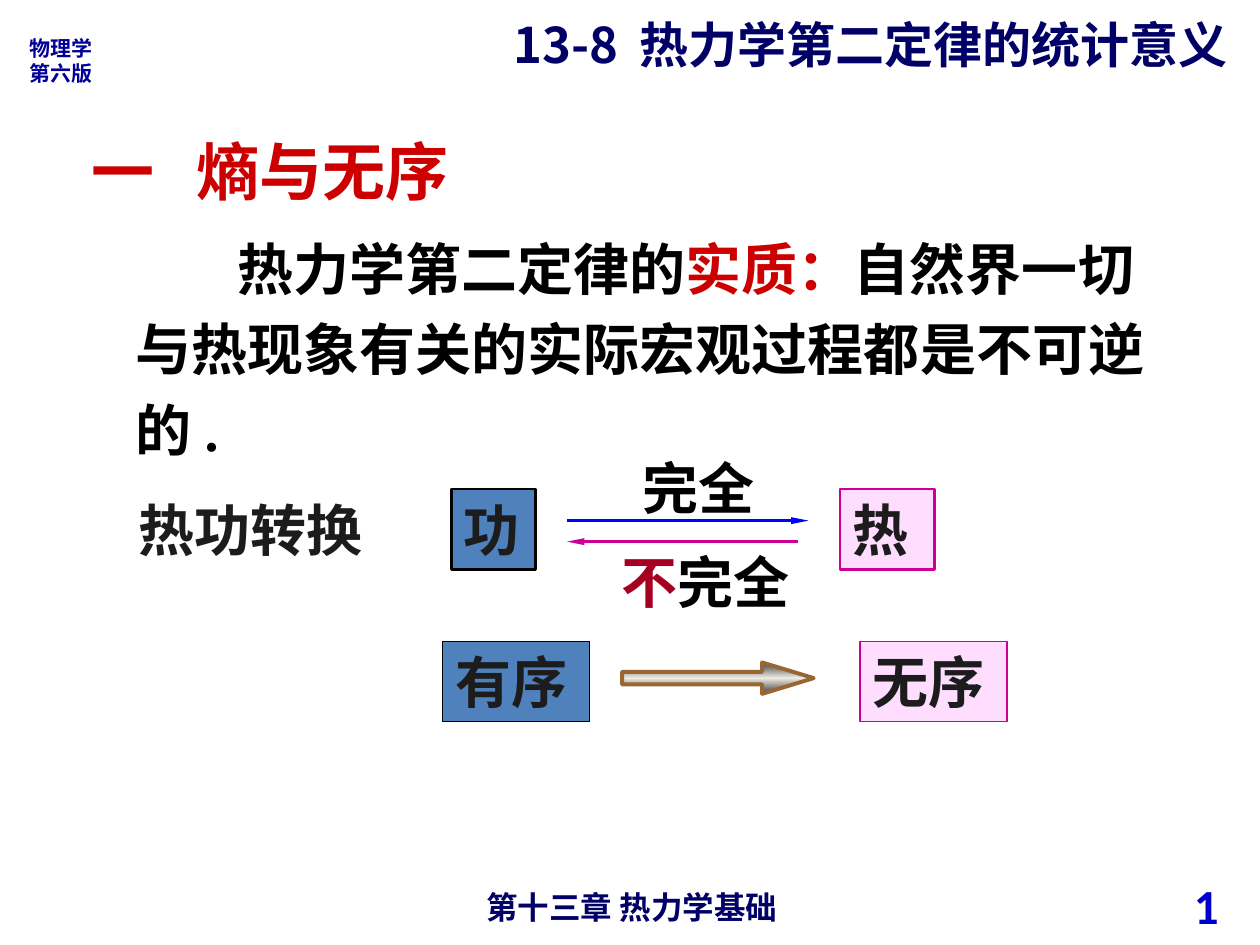
from dataclasses import dataclass
from copy import deepcopy
from lxml.etree import SubElement
from pptx import Presentation
from pptx.dml.color import RGBColor as Rgb
from pptx.enum.shapes import MSO_CONNECTOR as Link, MSO_SHAPE as Shape
from pptx.enum.text import MSO_ANCHOR as Anchor, PP_ALIGN as Align
from pptx.oxml.ns import qn
from pptx.util import Pt


@dataclass(frozen=True)
class Theme:
    cjk: str = "Noto Sans CJK SC"
    latin: str = "Arial"
    serif: str = "Times New Roman"
    number: str = "Calibri"
    navy: str = "000066"
    edition: str = "000099"
    page_number: str = "0000CC"
    red: str = "CC0000"
    crimson: str = "A50021"
    ink: str = "1C1C1C"
    black: str = "000000"
    blue: str = "0000FF"
    magenta: str = "CC0099"
    pink: str = "FFDDFF"
    steel: str = "4F81BD"
    bronze: str = "996633"
    metal: tuple = ("3B3B3B", "EEECE1", "3B3B3B")
    small: int = 12
    footer: int = 18
    title: int = 28
    body: int = 32
    heading: int = 36


class Builder:
    def __init__(self, page, theme):
        self.page, self.theme = page, theme

    def set_font(self, font, face, size, color):
        font.name, font.size, font.bold = face, Pt(size), True
        font.color.rgb = Rgb.from_string(color)
        SubElement(font._element, qn("a:ea"), typeface=self.theme.cjk)

    def fill_text(self, box, lines, size, color, face=None, align=Align.LEFT,
                  anchor=Anchor.TOP, tab=None):
        """Each line is a string or a list of (text, colour, face) spans."""
        face = face or self.theme.latin
        frame = box.text_frame
        frame.word_wrap, frame.vertical_anchor = True, anchor
        for index, line in enumerate(lines):
            para = frame.add_paragraph() if index else frame.paragraphs[0]
            para.alignment = align
            if tab:
                tabs = SubElement(para._p.get_or_add_pPr(), qn("a:tabLst"))
                SubElement(tabs, qn("a:tab"), pos=str(Pt(tab)), algn="l")
            if isinstance(line, str):
                para.add_run().text = line
                self.set_font(para.font, face, size, color)
                continue
            for text, span_color, span_face in line:
                span = para.add_run()
                span.text = text
                self.set_font(span.font, span_face, size, span_color)

    def text(self, place, lines, size, color, **style):
        box = self.page.shapes.add_textbox(*map(Pt, place))
        self.fill_text(box, lines, size, color, **style)
        return box

    def shape(self, kind, place, line, weight):
        box = self.page.shapes.add_shape(kind, *map(Pt, place))
        box.shadow.inherit = False
        box.line.color.rgb = Rgb.from_string(line)
        box.line.width = Pt(weight)
        return box

    def label(self, place, text, fill, line, weight):
        box = self.shape(Shape.RECTANGLE, place, line, weight)
        box.fill.solid()
        box.fill.fore_color.rgb = Rgb.from_string(fill)
        self.fill_text(box, [text], self.theme.body, self.theme.ink)

    def block_arrow(self, place, line, weight):
        arrow = self.shape(Shape.RIGHT_ARROW, place, line, weight)
        arrow.adjustments[0], arrow.adjustments[1] = 0.4, 1.64
        arrow.fill.gradient()
        arrow.fill.gradient_angle = 90
        stops = arrow._element.spPr.find(qn("a:gradFill")).find(qn("a:gsLst"))
        stops.append(deepcopy(stops[0]))
        for index, color in enumerate(self.theme.metal):
            stop = arrow.fill.gradient_stops[index]
            stop.position = index / 2
            stop.color.rgb = Rgb.from_string(color)

    def arrow(self, start, end, y, color):
        line = self.page.shapes.add_connector(
            Link.STRAIGHT, Pt(start), Pt(y), Pt(end), Pt(y))
        line.line.color.rgb = Rgb.from_string(color)
        line.line.width = Pt(1.5)
        outline = line._element.spPr.find(qn("a:ln"))
        SubElement(outline, qn("a:tailEnd"), type="triangle", w="sm", len="lg")
        SubElement(line._element.spPr, qn("a:effectLst"))


def main():
    deck = Presentation()
    deck.slide_width, deck.slide_height = Pt(720), Pt(540)
    theme = Theme()
    build = Builder(deck.slides.add_slide(deck.slide_layouts[6]), theme)

    # Running header and footer
    build.text((10, 16.5, 52, 36), ["物理学", "第六版"], theme.small,
               theme.edition, face=theme.cjk)
    build.text((535.5, 502.5, 168, 29), ["1"], theme.title, theme.page_number,
               face=theme.number, align=Align.RIGHT, anchor=Anchor.MIDDLE)
    build.text((247, 504, 228, 21), ["第十三章 热力学基础"], theme.footer,
               theme.navy, face=theme.cjk, align=Align.CENTER)
    build.text((286.5, 5, 436.5, 75), ["13-8\t热力学第二定律的统计意义"],
               theme.title, theme.navy, face=theme.cjk, tab=72)

    # Section heading and statement
    build.text((45, 72, 360, 50.5), ["一\t熵与无序"], theme.heading,
               theme.red, face=theme.serif, tab=60)
    statement = build.text((70.5, 122.5, 597.5, 145.5), [[
        ("热力学第二定律的", theme.black, theme.latin),
        ("实质：", theme.red, theme.cjk),
        ("自然界一切与热现象有关的实际宏观过程都是不可逆的 ",
         theme.black, theme.latin),
        (".", theme.black, theme.serif)]], theme.body, theme.black)
    para = statement.text_frame.paragraphs[0]
    para.line_spacing = 1.2
    para._p.get_or_add_pPr().set("indent", str(Pt(58)))

    # Work and heat conversion
    row, height = 279.5, 46
    build.text((72, row, 176, height), ["热功转换"], theme.body, theme.ink)
    build.text((360, 255.5, 108, height), ["完全"], theme.body, theme.black)
    build.text((348, 309.5, 143, height), [[
        ("不", theme.crimson, theme.latin),
        ("完全", theme.black, theme.latin)]], theme.body, theme.black)
    build.label((258, row, 48, height), "功", theme.steel, theme.black, 1.5)
    build.label((480, row, 54, height), "热", theme.pink, theme.magenta, 1.5)
    build.arrow(324, 462, 297.5, theme.blue)
    build.arrow(456, 324, 309.5, theme.magenta)

    # Order to disorder
    row = 366.5
    build.label((253, row, 84, height), "有序", theme.steel, theme.black, 0.5)
    build.label((491.5, row, 84, height), "无序", theme.pink,
                theme.magenta, 0.75)
    build.block_arrow((355.5, 378.5, 109.5, 18), theme.bronze, 2.25)

    deck.save("out.pptx")


if __name__ == "__main__":
    main()
